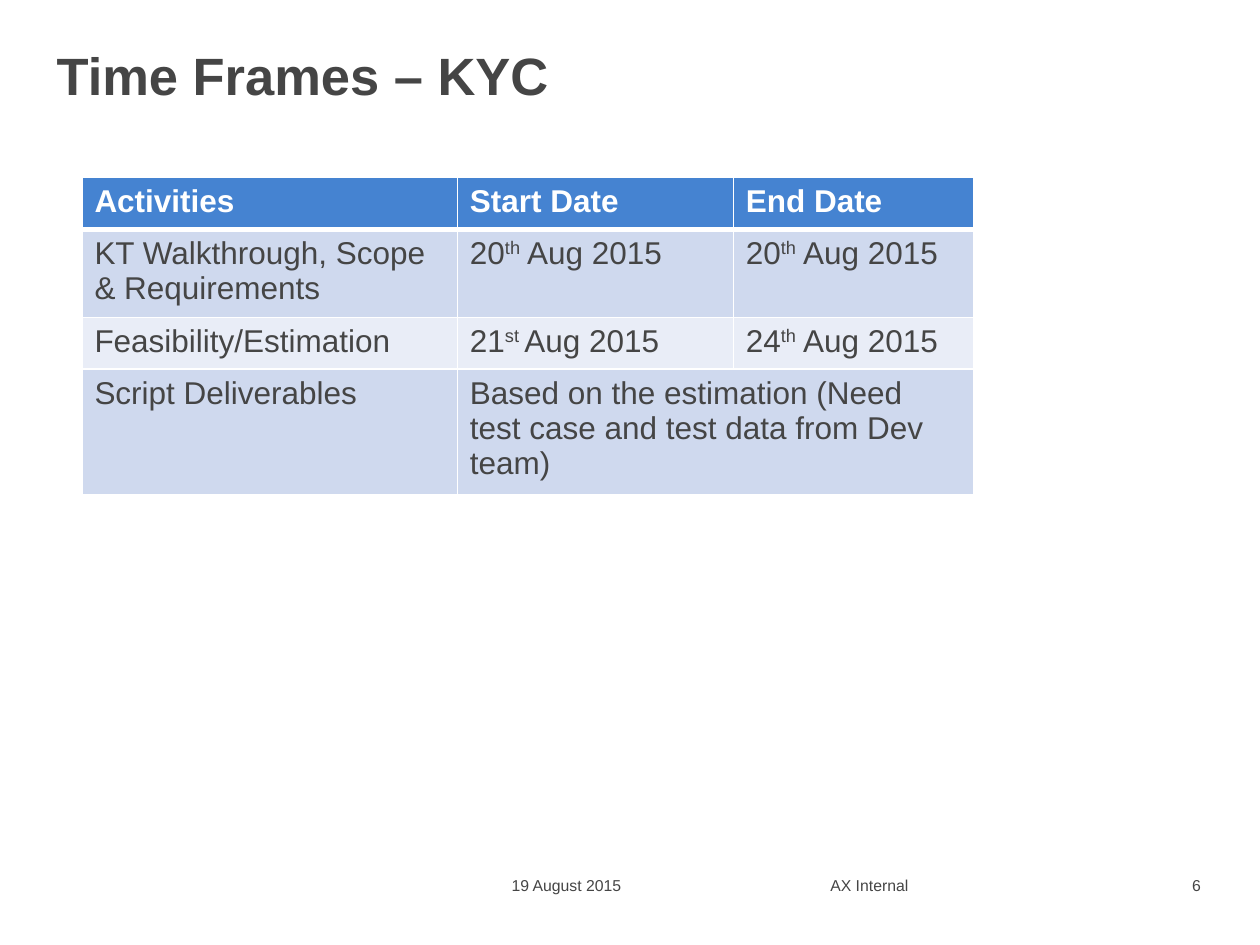
from pptx import Presentation
from pptx.dml.color import RGBColor
from pptx.enum.text import MSO_ANCHOR as Anchor, PP_ALIGN as Align
from pptx.oxml.ns import qn
from pptx.util import Inches, Pt
from lxml.etree import SubElement

COLORS = {"text": "454545", "white": "FFFFFF", "header": "4583D1",
          "band_dark": "CFD9EE", "band_light": "E9EDF7"}
FONT = "Arial"

TITLE = "Time Frames – KYC"
# Each cell is a list of runs; odd-numbered runs are superscript
SCHEDULE = [
    [["Activities"], ["Start Date"], ["End Date"]],
    [["KT Walkthrough, Scope & Requirements"],
     ["20", "th", " Aug 2015"], ["20", "th", " Aug 2015"]],
    [["Feasibility/Estimation"],
     ["21", "st ", "Aug 2015"], ["24", "th", " Aug 2015"]],
    [["Script Deliverables"],
     ["Based on the estimation (Need test case and test data from Dev team)"], []],
]
COLUMN_WIDTHS = [2.98, 2.19, 1.91]
ROW_HEIGHTS = [0.41, 0.66, 0.41, 0.94]
# Text, left, width, height, alignment
FOOTERS = [
    ("19 August 2015", 1.86, 3.07, 0.2, Align.RIGHT),
    ("AX Internal", 6.59, 1.68, 0.35, Align.LEFT),
    ("6", 9.29, 0.24, 0.46, Align.RIGHT),
]


def rgb(name):
    return RGBColor.from_string(COLORS[name])


def add_run(paragraph, text, size, color="text", bold=False):
    run = paragraph.add_run()
    run.text = text
    font = run.font
    font.name, font.size, font.bold = FONT, Pt(size), bold
    font.color.rgb = rgb(color)
    return run


def reset_frame(frame):
    frame.word_wrap = True
    frame.vertical_anchor = Anchor.TOP
    frame.margin_left = frame.margin_right = 0
    frame.margin_top = frame.margin_bottom = 0


def set_borders(cell, bottom):
    properties = cell._tc.get_or_add_tcPr()
    for side, width in (("lnL", 1), ("lnR", 1), ("lnT", 1), ("lnB", bottom)):
        line = SubElement(properties, qn(f"a:{side}"), w=str(Pt(width)))
        fill = SubElement(line, qn("a:solidFill"))
        SubElement(fill, qn("a:srgbClr"), val=COLORS["white"])


prs = Presentation()
prs.slide_width, prs.slide_height = Inches(10), Inches(7.5)
slide = prs.slides.add_slide(prs.slide_layouts[5])

# Title
title = slide.shapes.title
title.left, title.top = Inches(0.45), Inches(0.4)
title.width, title.height = Inches(9.09), Inches(1.2)
reset_frame(title.text_frame)
heading = title.text_frame.paragraphs[0]
heading.alignment, heading.line_spacing = Align.LEFT, 0.9
add_run(heading, TITLE, 30, bold=True)

# Footer line
for text, left, width, height, alignment in FOOTERS:
    footer = slide.shapes.add_textbox(Inches(left), Inches(6.95),
                                      Inches(width), Inches(height))
    reset_frame(footer.text_frame)
    paragraph = footer.text_frame.paragraphs[0]
    paragraph.alignment = alignment
    add_run(paragraph, text, 9)

# Schedule table
schedule = slide.shapes.add_table(
    len(ROW_HEIGHTS), len(COLUMN_WIDTHS), Inches(0.65), Inches(1.41),
    Inches(sum(COLUMN_WIDTHS)), Inches(sum(ROW_HEIGHTS))).table
for column, width in zip(schedule.columns, COLUMN_WIDTHS):
    column.width = Inches(width)
for row, height in zip(schedule.rows, ROW_HEIGHTS):
    row.height = Inches(height)

for r, activity in enumerate(SCHEDULE):
    is_header = r == 0
    band = "header" if is_header else "band_dark" if r % 2 else "band_light"
    for c, pieces in enumerate(activity):
        cell = schedule.cell(r, c)
        set_borders(cell, bottom=3 if is_header else 1)
        cell.fill.solid()
        cell.fill.fore_color.rgb = rgb(band)
        for i, piece in enumerate(pieces):
            run = add_run(cell.text_frame.paragraphs[0], piece, 18,
                          "white" if is_header else "text", is_header)
            if i % 2:
                run.font._element.set("baseline", "30000")
schedule.cell(3, 1).merge(schedule.cell(3, 2))

prs.save("out.pptx")
